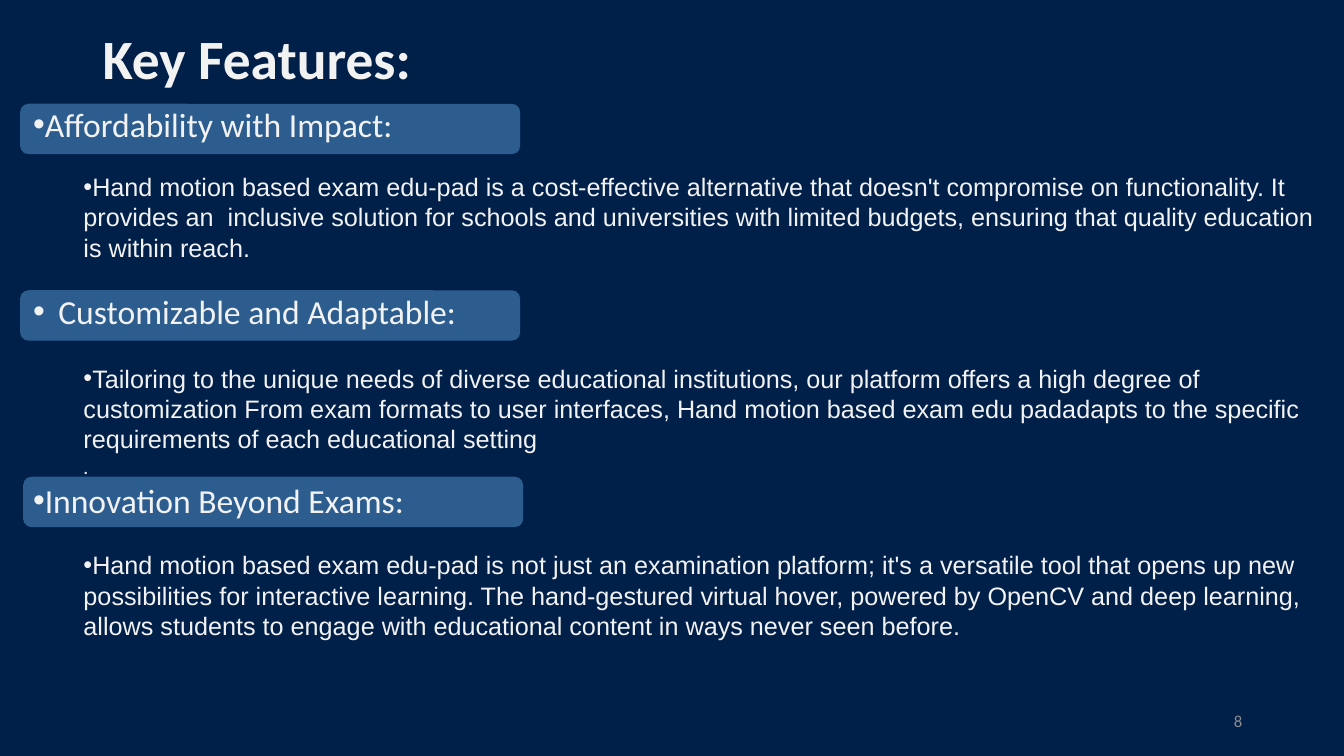
from lxml.etree import SubElement
from pptx import Presentation
from pptx.dml.color import RGBColor
from pptx.enum.shapes import MSO_SHAPE
from pptx.enum.text import MSO_ANCHOR, PP_ALIGN
from pptx.oxml.ns import qn
from pptx.util import Inches, Pt

COLORS = {"navy": "00204A", "band": "5B9BD5", "text": "F2F2F2", "number": "8C8C8C"}

# Heading, heading indent, description, closing mark, space before heading
# and space before description (points)
FEATURES = [
    ("Affordability with Impact:", 0,
     "Hand motion based exam\u00a0edu-pad is a cost-effective alternative that doesn't "
     "compromise on functionality. It provides an  inclusive solution for schools and "
     "universities with limited budgets, ensuring that quality education is within reach.",
     "", 0, 19.8),
    ("Customizable and Adaptable:", 0.25,
     "Tailoring to the unique needs of diverse educational institutions, our platform "
     "offers a high degree of customization From exam formats to user interfaces, Hand "
     "motion based exam\u00a0edu\u00a0padadapts to the specific requirements of each "
     "educational setting",
     ".", 20, 22.6),
    ("Innovation Beyond Exams:", 0,
     "Hand motion based exam\u00a0edu-pad is not just an examination platform; it's a "
     "versatile tool that opens up new possibilities for interactive learning. The "
     "hand-gestured virtual hover, powered by OpenCV and deep learning, allows students "
     "to engage with educational content in ways never seen before.",
     "", 0, 21.2),
]


def color(name):
    return RGBColor.from_string(COLORS[name])


def add_panel(slide, box, preset, fill, opacity=100):
    panel = slide.shapes.add_shape(preset, *map(Inches, box))
    panel.shadow.inherit = False
    panel.fill.solid()
    panel.fill.fore_color.rgb = color(fill)
    panel.line.fill.background()
    if opacity < 100:
        tint = panel.fill._xPr.find(qn("a:solidFill"))[0]
        SubElement(tint, qn("a:alpha"), val=str(opacity * 1000))


def add_frame(slide, box, anchor):
    frame = slide.shapes.add_textbox(*map(Inches, box)).text_frame
    frame.word_wrap = True
    frame.vertical_anchor = anchor
    return frame


def add_words(paragraph, words, size, font="Calibri", fill="text", bold=False):
    run = paragraph.add_run()
    run.text = words
    run.font.size = Pt(size)
    run.font.name = font
    run.font.bold = bold
    run.font.color.rgb = color(fill)


def indent(paragraph, margin, hanging=0, bullet=True):
    """Set the left margin and hanging indent, and add a round bullet."""
    properties = paragraph._p.get_or_add_pPr()
    properties.set("marL", str(Inches(margin)))
    properties.set("indent", str(-Inches(hanging)))
    if bullet:
        SubElement(properties, qn("a:buFont"), typeface="Arial")
        SubElement(properties, qn("a:buChar"), char="•")


def add_title(slide, box):
    paragraph = add_frame(slide, box, MSO_ANCHOR.MIDDLE).paragraphs[0]
    paragraph.line_spacing = 0.9
    add_words(paragraph, "Key Features:", 39.6, bold=True)


def add_features(slide, box):
    frame = add_frame(slide, box, MSO_ANCHOR.TOP)
    frame.margin_top = Inches(0.09)

    def next_paragraph(height, before):
        first = frame.paragraphs[0]
        paragraph = frame.add_paragraph() if first.runs else first
        paragraph.line_spacing = Pt(height)
        if before:
            paragraph.space_before = Pt(before)
        return paragraph

    for heading, hanging, description, mark, above, gap in FEATURES:
        paragraph = next_paragraph(29.3, above)
        indent(paragraph, hanging, hanging)
        add_words(paragraph, heading, 24)

        paragraph = next_paragraph(21.6, gap)
        indent(paragraph, 0.5)
        add_words(paragraph, description, 18, "Arial")

        if mark:
            paragraph = next_paragraph(17, 1)
            indent(paragraph, 0.5, bullet=False)
            add_words(paragraph, mark, 14)


def add_slide_number(slide, box):
    paragraph = add_frame(slide, box, MSO_ANCHOR.MIDDLE).paragraphs[0]
    paragraph.alignment = PP_ALIGN.RIGHT
    add_words(paragraph, "8", 12, fill="number")


def main():
    deck = Presentation()
    deck.slide_width, deck.slide_height = Inches(13.33), Inches(7.5)
    slide = deck.slides.add_slide(deck.slide_layouts[6])
    add_panel(slide, (0, 0, 13.33, 7.5), MSO_SHAPE.RECTANGLE, "navy")
    for row, left in enumerate((0.2, 0.2, 0.23)):
        add_panel(slide, (left, 1.03 + 1.85 * row, 4.96, 0.5),
                  MSO_SHAPE.FLOWCHART_ALTERNATE_PROCESS, "band", opacity=50)
    add_title(slide, (0.92, 0.4, 3.43, 0.43))
    add_features(slide, (0.23, 0.93, 12.9, 6.26))
    add_slide_number(slide, (9.42, 6.95, 3, 0.4))
    deck.save("out.pptx")


if __name__ == "__main__":
    main()
